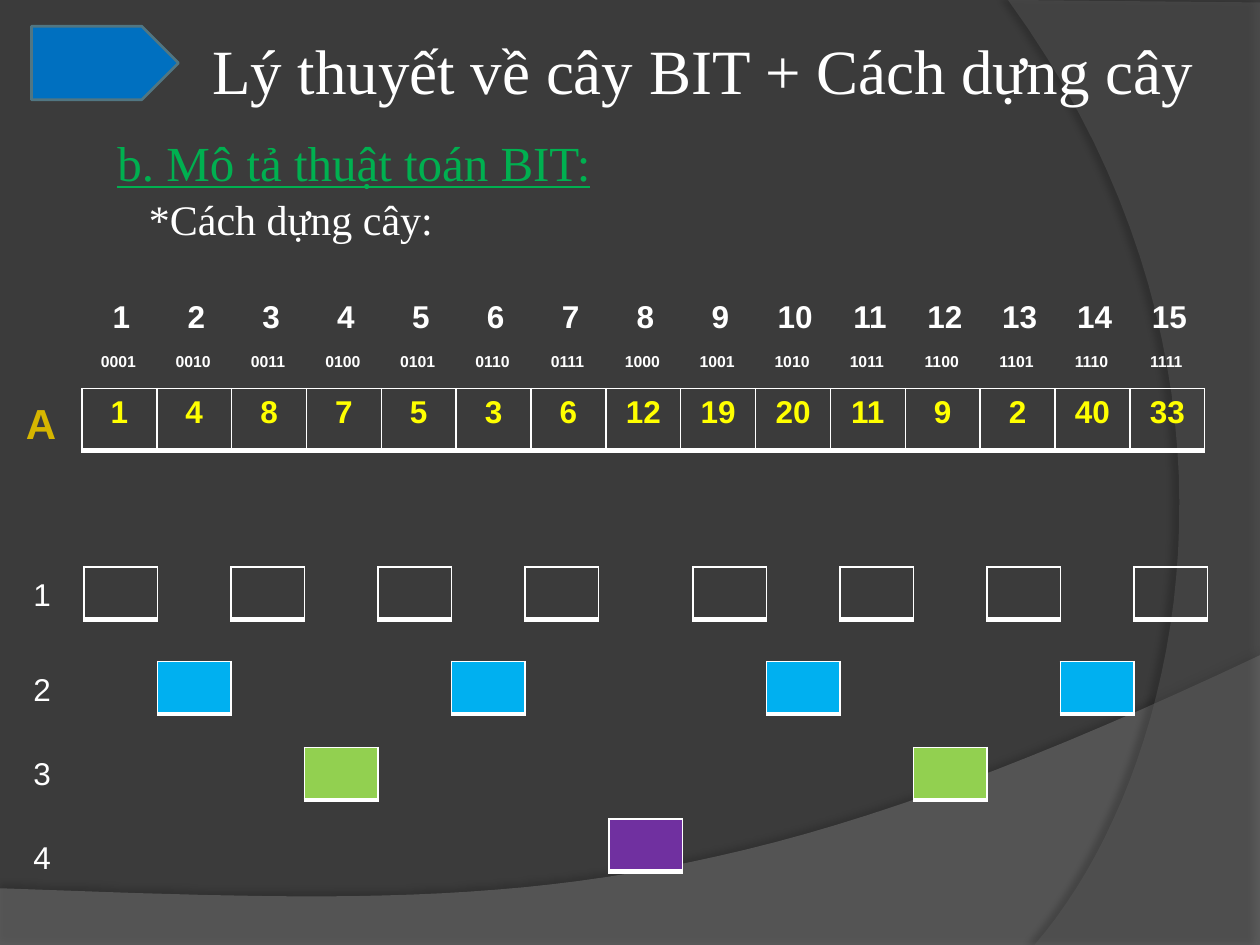
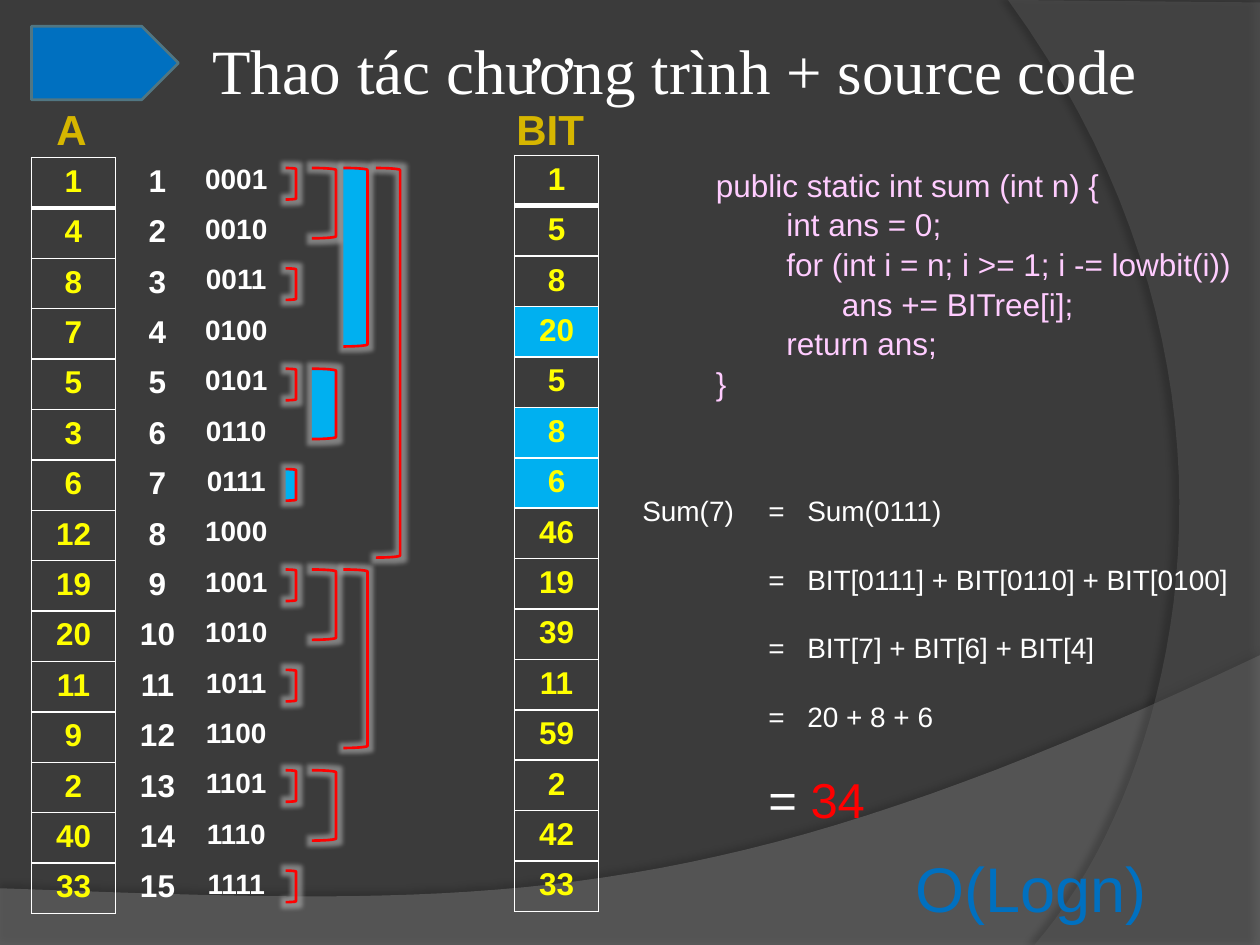
from lxml.etree import SubElement
from pptx import Presentation
from pptx.dml.color import RGBColor
from pptx.enum.shapes import MSO_SHAPE
from pptx.enum.text import MSO_ANCHOR, MSO_AUTO_SIZE, PP_ALIGN
from pptx.oxml.ns import qn
from pptx.util import Emu, Inches, Pt

# Grid of 120 columns by 90 rows, each a twelfth of an inch
COLUMNS, ROWS = 120, 90
UNIT = Inches(1) / 12
LINE_SPACING = 1.05
NO_STYLE_TABLE = "{2D5ABB26-0587-4C30-8999-92F81FD0307C}"

BACKGROUND, WHITE, YELLOW, GOLD = "3B3B3B", "FFFFFF", "FFFF00", "D6B600"
BLUE, SKY, GREEN, LIME = "0070C0", "00B0F0", "00B050", "92D050"
PURPLE, PINK, RED, GLOW = "7030A0", "FFCCFF", "FF0000", "B0B0B0"

SERIF, SANS = "Times New Roman", "Arial"
TITLE = {"name": SERIF, "size": Pt(36), "color": WHITE}
HEADING = {"name": SERIF, "size": Pt(28), "color": GREEN, "underline": True}
SUBHEADING = {"name": SERIF, "size": Pt(24), "color": WHITE}
ARRAY_NAME = {"name": SANS, "size": Pt(24), "color": GOLD, "bold": True}
VALUE = {"name": SANS, "size": Pt(18), "color": YELLOW, "bold": True}
INDEX = {**VALUE, "color": WHITE}
SMALL_BINARY = {**INDEX, "size": Pt(9)}
BINARY = {**INDEX, "size": Pt(16)}
LEVEL = {"name": SANS, "size": Pt(18), "color": WHITE}
CODE = {**LEVEL, "color": PINK}
STEP = {**LEVEL, "size": Pt(16)}
EQUALS = {**LEVEL, "size": Pt(28)}
RESULT = {**EQUALS, "color": RED}
COMPLEXITY = {**LEVEL, "size": Pt(36), "color": BLUE}

# Border widths in points
NO_BORDER = {"L": 0, "R": 0, "T": 0, "B": 0}
THIN = {"L": 1, "R": 1, "T": 1, "B": 1}
HEAVY_BOTTOM = {**THIN, "B": 3}
HEAVY_TOP = {**THIN, "T": 3}

# The array and its binary indexed tree
ARRAY = [1, 4, 8, 7, 5, 3, 6, 12, 19, 20, 11, 9, 2, 40, 33]
INDICES = range(1, len(ARRAY) + 1)
BINARIES = [f"{index:04b}" for index in INDICES]
TREE = [sum(ARRAY[index - (index & -index):index]) for index in INDICES]
SUMMED = (4, 6, 7)


def color(hex_string):
    return RGBColor.from_string(hex_string)


def grid(*lengths):
    return [Emu(round(length * UNIT)) for length in lengths]


def add_color(parent, hex_string, alpha=None):
    element = SubElement(parent, qn("a:srgbClr"), val=hex_string)
    if alpha:
        SubElement(element, qn("a:alpha"), val=str(alpha * 1000))


def bezier(start, first, second, end, steps=40):
    weights = [step / steps for step in range(1, steps + 1)]
    return [tuple((1 - t) ** 3 * a + 3 * (1 - t) ** 2 * t * b
                  + 3 * (1 - t) * t ** 2 * c + t ** 3 * d
                  for a, b, c, d in zip(start, first, second, end))
            for t in weights]


class Deck:
    def __init__(self):
        self.presentation = Presentation()
        self.presentation.slide_width, self.presentation.slide_height = grid(COLUMNS, ROWS)
        self.layout = self.presentation.slide_layouts[5]
        self.slide = None

    def format_font(self, font, style):
        for name, value in style.items():
            if name == "color":
                font.color.rgb = color(value)
            else:
                setattr(font, name, value)

    def paint(self, shape, fill=None, line=None):
        shape.shadow.inherit = False
        if fill:
            shape.fill.solid()
            shape.fill.fore_color.rgb = color(fill)
        else:
            shape.fill.background()
        if line:
            shape.line.color.rgb = color(line)
            shape.line.width = Pt(1.5)
        else:
            shape.line.fill.background()

    def add_effect(self, shape, kind, hex_string, alpha, **attributes):
        effects = shape._element.spPr.find(qn("a:effectLst"))
        effect = SubElement(effects, qn(f"a:{kind}"),
                            {name: str(value) for name, value in attributes.items()})
        add_color(effect, hex_string, alpha)

    def add_wave(self, points, fill, alpha, shadow_alpha, distance, direction):
        """Points are in inches."""
        builder = self.slide.shapes.build_freeform(
            *(round(value * 1000) for value in points[0]), scale=914.4)
        builder.add_line_segments(
            [(round(x * 1000), round(y * 1000)) for x, y in points[1:]], close=True)
        wave = builder.convert_to_shape()
        self.paint(wave, fill)
        fill_color = wave._element.spPr.find(qn("a:solidFill"))[0]
        SubElement(fill_color, qn("a:alpha"), val=str(alpha * 1000))
        self.add_effect(wave, "outerShdw", "000000", shadow_alpha, blurRad=Pt(4),
                        dist=Pt(distance), dir=direction * 60000, rotWithShape=0)
        return wave

    def decorate_layout(self):
        """Place the background, waves and arrow band on the shared layout."""
        self.layout.background.fill.solid()
        self.layout.background.fill.fore_color.rgb = color(BACKGROUND)
        bottom = [(0, 7.05), (0, 7.51), (10, 7.51), (10, 5.2)]
        bottom += bezier((10, 5.2), (5.59, 7.29), (3.91, 7.19), (0, 7.05))
        side = [(10, 0.02), (10, 7.5), (8.21, 7.5)]
        side += bezier((8.21, 7.5), (9.35, 6.19), (10.18, 3), (8, 0))
        band = self.add_shape(MSO_SHAPE.PENTAGON, 3, 2.5, 14, 7, BLUE, "517682")
        shared = [self.add_wave(bottom, "7F7F7F", 45, 35, 3.5, 270),
                  self.add_wave(side, "5E5E5E", 40, 45, 4, 180), band]
        for shape in shared:
            self.layout.shapes._spTree.append(shape._element)

    def add_slide(self, title):
        first = self.slide is None
        self.slide = self.presentation.slides.add_slide(self.layout)
        if first:
            self.decorate_layout()
        shape = self.slide.shapes.title
        shape.left, shape.top, shape.width, shape.height = grid(19, 2, 101, 8.5)
        frame = shape.text_frame
        for name, value in {"word_wrap": True, "auto_size": MSO_AUTO_SIZE.NONE,
                            "vertical_anchor": MSO_ANCHOR.TOP}.items():
            setattr(frame, name, value)
        self.fill_paragraph(frame.paragraphs[0], [(title, TITLE)])

    def fill_paragraph(self, paragraph, runs, indent=0, space_after=0, tabs=()):
        for name, value in {"alignment": PP_ALIGN.LEFT, "line_spacing": LINE_SPACING,
                            "space_after": Pt(space_after)}.items():
            setattr(paragraph, name, value)
        properties = paragraph._p.get_or_add_pPr()
        properties.set("marL", str(Inches(indent)))
        if tabs:
            stops = SubElement(properties, qn("a:tabLst"))
            for position in tabs:
                SubElement(stops, qn("a:tab"), pos=str(Inches(position)), algn="l")
        for text, style in runs:
            run = paragraph.add_run()
            run.text = text
            self.format_font(run.font, style)

    def add_text(self, left, top, width, height, paragraphs, wrap=True, **layout):
        """Each paragraph is a pair: its runs, and its indent in inches."""
        frame = self.slide.shapes.add_textbox(*grid(left, top, width, height)).text_frame
        frame.word_wrap = wrap
        for number, (runs, indent) in enumerate(paragraphs):
            paragraph = frame.add_paragraph() if number else frame.paragraphs[0]
            self.fill_paragraph(paragraph, runs, indent, **layout)

    def add_label(self, left, top, width, height, text, style):
        self.add_text(left, top, width, height, [([(text, style)], 0)], wrap=False)

    def add_shape(self, kind, left, top, width, height, fill=None, line=None):
        shape = self.slide.shapes.add_shape(kind, *grid(left, top, width, height))
        self.paint(shape, fill, line)
        return shape

    def format_cell(self, cell, text, style, borders, fill):
        properties = cell._tc.get_or_add_tcPr()
        for side, width in borders.items():
            line = SubElement(properties, qn(f"a:ln{side}"), w=str(Pt(width)))
            if width:
                add_color(SubElement(line, qn("a:solidFill")), WHITE)
            else:
                SubElement(line, qn("a:noFill"))
        if fill:
            cell.fill.solid()
            cell.fill.fore_color.rgb = color(fill)
        else:
            cell.fill.background()
        if text != "":
            paragraph = cell.text_frame.paragraphs[0]
            paragraph.alignment = PP_ALIGN.CENTER
            run = paragraph.add_run()
            run.text = str(text)
            self.format_font(run.font, style)

    def add_strip(self, left, top, width, height, values, style=None,
                  borders=(NO_BORDER,), fills=None, vertical=False):
        """A one-line table; the last border set serves all remaining cells."""
        count = len(values)
        rows, columns = (count, 1) if vertical else (1, count)
        table = self.slide.shapes.add_table(
            rows, columns, *grid(left, top, width, height)).table
        for name in ("first_row", "horz_banding"):
            setattr(table, name, False)
        table._tbl.tblPr.find(qn("a:tableStyleId")).text = NO_STYLE_TABLE
        for number, (cell, value) in enumerate(zip(table.iter_cells(), values)):
            self.format_cell(cell, value, style, borders[min(number, len(borders) - 1)],
                             (fills or {}).get(number + 1))


def build_tree_slide(deck):
    deck.add_slide("Lý thuyết về cây BIT + Cách dựng cây")
    deck.add_text(10, 11.75, 50, 11.75, [
        ([("b. Mô tả thuật toán BIT:", HEADING)], 0),
        ([("*Cách dựng cây:", SUBHEADING)], 0.25)])

    # Array with its decimal and binary indices
    deck.add_strip(7.8, 37, 107, 5.9, ARRAY, VALUE, [HEAVY_BOTTOM])
    deck.add_strip(8, 28, 107, 5.9, INDICES, INDEX)
    deck.add_strip(7.7, 33, 107, 3, BINARIES, SMALL_BINARY)
    deck.add_label(1.3, 37, 5.8, 6, "A", ARRAY_NAME)

    # Tree nodes, one level for each lowest set bit
    levels = [(54, 54, None), (63, 63, SKY), (71.2, 71, LIME), (78, 79, PURPLE)]
    for level, (node_top, label_top, fill) in enumerate(levels):
        low_bit = 2 ** level
        for index in range(low_bit, len(ARRAY) + 1, 2 * low_bit):
            left = 8 + 7 * (index - 1) + (index > 7) + (index > 8)
            deck.add_strip(left, node_top, 7, 5, [""], borders=[HEAVY_BOTTOM],
                           fills={1: fill})
        deck.add_label(2, label_top, 4, 4.8, str(level + 1), LEVEL)


def build_sum_slide(deck):
    deck.add_slide("Thao tác chương trình + source code")

    # Array, indices and tree as columns
    column_borders = [HEAVY_BOTTOM, HEAVY_TOP, THIN]
    deck.add_strip(3, 15, 8, 72, ARRAY, VALUE, column_borders, vertical=True)
    deck.add_strip(49, 14.8, 8, 72, TREE, VALUE, column_borders,
                   dict.fromkeys(SUMMED, SKY), vertical=True)
    deck.add_strip(11, 15, 8, 72, INDICES, INDEX, vertical=True)
    deck.add_strip(18, 15, 9, 72, BINARIES, BINARY, vertical=True)
    deck.add_label(4.2, 9, 5.8, 6, "A", ARRAY_NAME)
    deck.add_label(48, 9, 9, 6, "BIT", ARRAY_NAME)

    # Brackets over the range that each tree node sums: left, width, height
    brackets = {1: (27.2, 1, 3), 2: (29.7, 2.3, 6.7),
                4: (32.7, 2.3, 17), 8: (35.8, 2.3, 37.1)}
    for low_bit, (left, width, height) in brackets.items():
        for index in range(low_bit, len(ARRAY) + 1, 2 * low_bit):
            top = 16 + 4.78 * (index - low_bit)
            bracket = deck.add_shape(MSO_SHAPE.RIGHT_BRACKET, left, top, width, height,
                                     SKY if index in SUMMED else None, RED)
            deck.add_effect(bracket, "glow", GLOW, 60, rad=Pt(5))

    # Source code
    code = [("public static int sum (int n) {", 0), ("int ans = 0;", 0.56),
            ("for (int i = n; i >= 1; i -= lowbit(i))", 0.56),
            ("ans += BITree[i];", 1), ("return ans;", 0.56), ("}", 0)]
    deck.add_text(67, 15, 53, 23, [([(text, CODE)], indent) for text, indent in code])

    # Worked example
    steps = ["Sum(7)\t=\tSum(0111)", "\t=\tBIT[0111] + BIT[0110] + BIT[0100]",
             "\t=\tBIT[7] + BIT[6] + BIT[4]", "\t=\t20 + 8 + 6"]
    example = [([(text, STEP)], 0) for text in steps]
    example.append(([("\t= ", EQUALS), ("34", RESULT)], 0))
    deck.add_text(60, 46.3, 59, 32.8, example, wrap=False, space_after=19,
                  tabs=(1, 1.31))
    deck.add_label(86, 80, 24.6, 8.5, "O(Logn)", COMPLEXITY)


def main():
    deck = Deck()
    build_tree_slide(deck)
    build_sum_slide(deck)
    deck.presentation.save("out.pptx")


if __name__ == "__main__":
    main()
